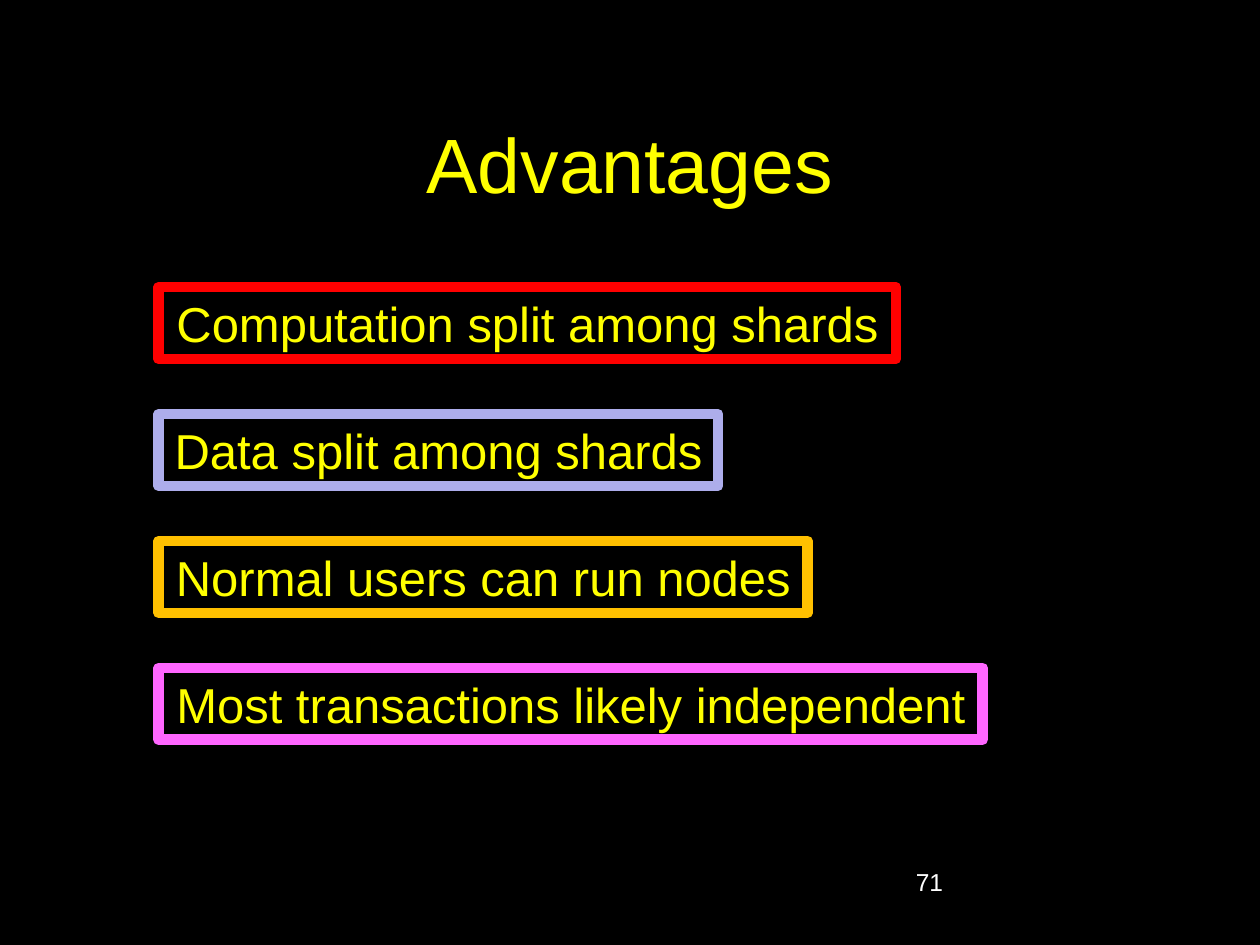
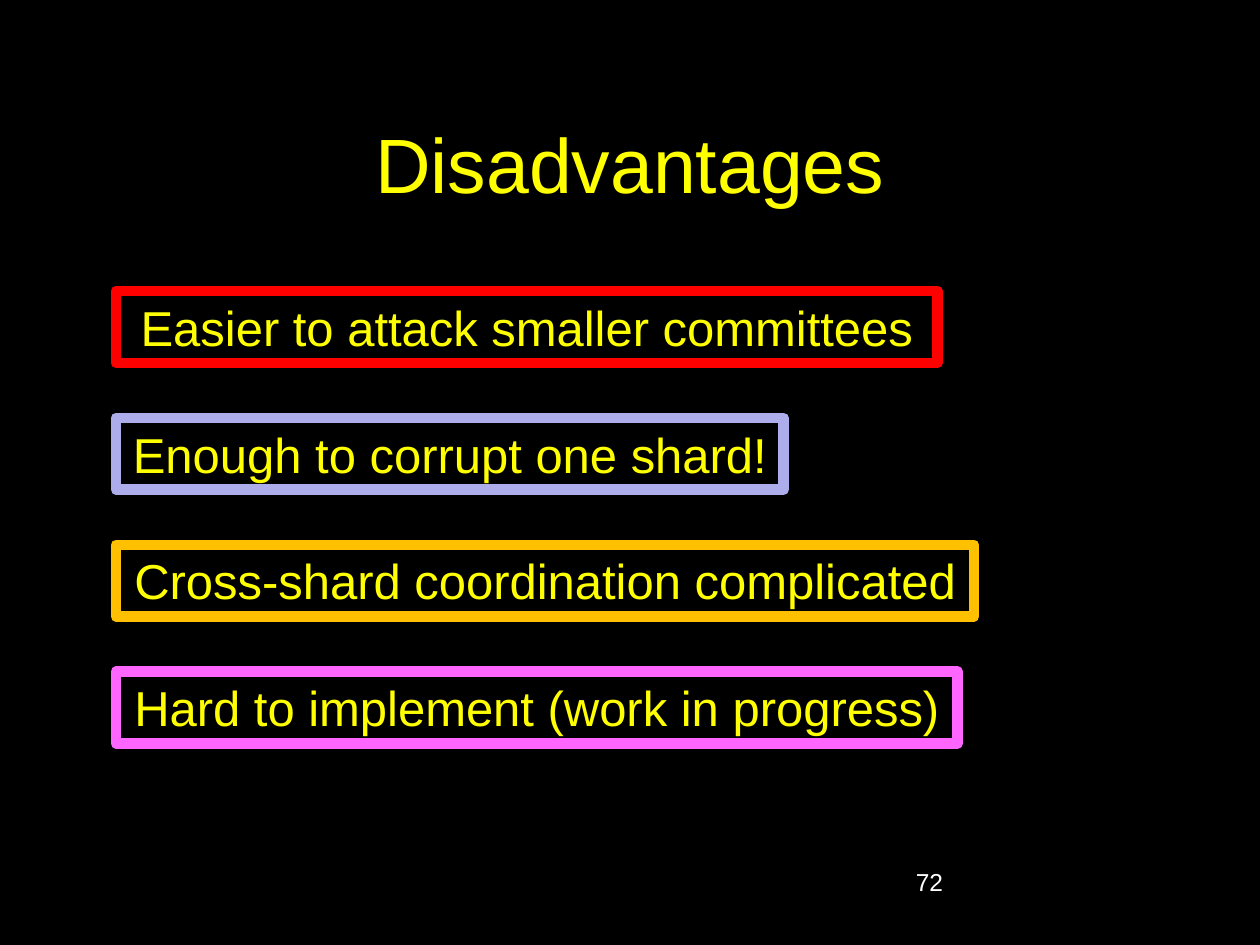
"""Build two slides on the advantages and disadvantages of sharding."""
import dataclasses

import pptx
import pptx.dml.color
import pptx.enum.shapes
import pptx.enum.text
import pptx.util

Inches = pptx.util.Inches
ALIGN = pptx.enum.text.PP_ALIGN
ANCHOR = pptx.enum.text.MSO_ANCHOR


@dataclasses.dataclass(frozen=True)
class Theme:
    font: str = "Arial"
    background: str = "000000"
    accent: str = "FFFF00"
    number: str = "FFFFFF"
    frames: tuple = ("FF0000", "ADADEB", "FFC000", "FF66FF")
    title_size: int = 44
    point_size: int = 28
    number_size: int = 14
    frame_width: int = 6


theme = Theme()


def rgb(value):
    return pptx.dml.color.RGBColor.from_string(value)


def write(sp, text, size, color=theme.accent, align=ALIGN.CENTER,
          anchor=ANCHOR.TOP, wrap=True):
    tf = sp.text_frame
    tf.word_wrap = wrap
    tf.vertical_anchor = anchor
    p = tf.paragraphs[0]
    p.alignment = align
    r = p.add_run()
    r.text = text
    r.font.name = theme.font
    r.font.size = pptx.util.Pt(size)
    r.font.color.rgb = rgb(color)


slides = [
    ("Advantages", 71, 1.26, 2.28, [
        ("Computation split among shards", 5.85),
        ("Data split among shards", 4.44),
        ("Normal users can run nodes", 5.15),
        ("Most transactions likely independent", 6.54),
    ]),
    ("Disadvantages", 72, 0.92, 2.31, [
        ("Easier to attack smaller committees", 6.52),
        ("Enough to corrupt one shard!", 5.3),
        ("Cross-shard coordination complicated", 6.81),
        ("Hard to implement (work in progress)", 6.68),
    ]),
]
point_height = 0.57
point_step = 1.007

prs = pptx.Presentation()
prs.slide_width, prs.slide_height = Inches(10), Inches(7.5)
fill = prs.slide_master.background.fill
fill.solid()
fill.fore_color.rgb = rgb(theme.background)
layout = prs.slide_layouts.get_by_name("Title Only")

for title, number, left, top, points in slides:
    s = prs.slides.add_slide(layout)
    sp = s.shapes.title
    sp.left, sp.top = Inches(0.75), Inches(0.67)
    sp.width, sp.height = Inches(8.5), Inches(1.25)
    write(sp, title, theme.title_size, anchor=ANCHOR.MIDDLE)

    sp = s.shapes.add_textbox(Inches(7.17), Inches(6.83), Inches(2.08), Inches(0.5))
    write(sp, str(number), theme.number_size, color=theme.number, align=ALIGN.LEFT)

    for i, ((text, width), frame) in enumerate(zip(points, theme.frames)):
        sp = s.shapes.add_shape(
            pptx.enum.shapes.MSO_SHAPE.RECTANGLE, Inches(left),
            Inches(top + i * point_step), Inches(width), Inches(point_height))
        sp.shadow.inherit = False
        sp.fill.solid()
        sp.fill.fore_color.rgb = rgb(theme.background)
        sp.line.color.rgb = rgb(frame)
        sp.line.width = pptx.util.Pt(theme.frame_width)
        write(sp, text, theme.point_size, wrap=False)

prs.save("out.pptx")
